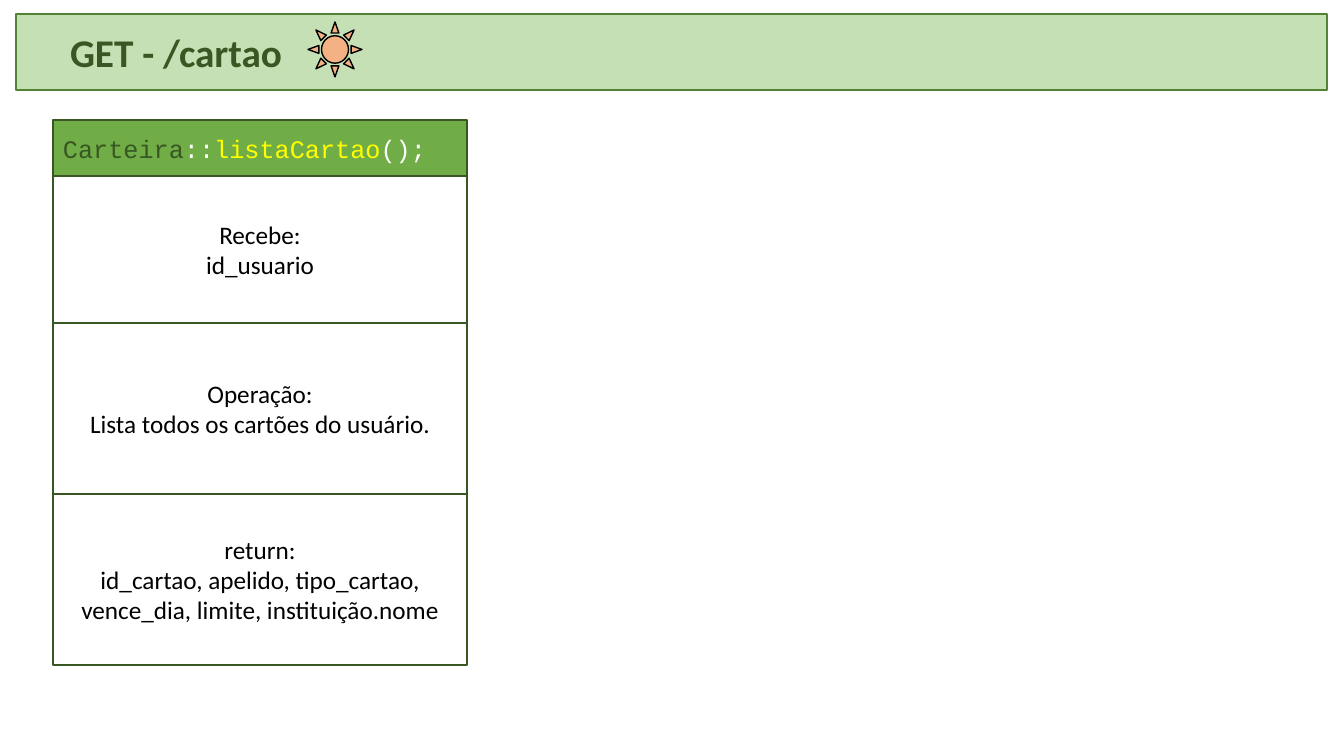
"""Builds the GET - /cartao endpoint slide."""
from dataclasses import dataclass

from pptx import Presentation
from pptx.dml.color import RGBColor
from pptx.enum.shapes import MSO_SHAPE
from pptx.enum.text import MSO_ANCHOR, PP_ALIGN
from pptx.util import Pt

RECT, SUN = MSO_SHAPE.RECTANGLE, MSO_SHAPE.SUN
MIDDLE = MSO_ANCHOR.MIDDLE
LEFT, CENTER = PP_ALIGN.LEFT, PP_ALIGN.CENTER
EMU_PER_PX = 914400 / 100.8


@dataclass(frozen=True)
class Theme:
    pale: str = "C5E0B4"
    green: str = "70AD47"
    mid: str = "548235"
    dark: str = "385723"
    white: str = "FFFFFF"
    black: str = "000000"
    yellow: str = "FFFF00"
    orange: str = "F4B183"
    body_font: str = "Calibri"
    code_font: str = "Courier New"
    title_size: int = 28
    body_size: int = 18


def px(n):
    return round(n * EMU_PER_PX)


class Builder:
    def __init__(self, slide, theme):
        self.slide, self.theme = slide, theme

    def shape(self, kind, box, fill, line, width=1):
        sp = self.slide.shapes.add_shape(kind, *map(px, box))
        sp.shadow.inherit = False
        sp.fill.solid()
        sp.fill.fore_color.rgb = RGBColor.from_string(fill)
        sp.line.color.rgb = RGBColor.from_string(line)
        sp.line.width = Pt(width)
        return sp

    def text(self, sp, paragraphs, align=LEFT, inset=10, **font):
        tf = sp.text_frame
        frame = {"word_wrap": True, "vertical_anchor": MIDDLE, "margin_left": px(inset)}
        for name, value in frame.items():
            setattr(tf, name, value)
        style = {"name": self.theme.body_font, "size": Pt(self.theme.body_size), **font}
        for i, runs in enumerate(paragraphs):
            p = tf.paragraphs[0] if i == 0 else tf.add_paragraph()
            p.alignment = align
            for words, color in runs:
                r = p.add_run()
                r.text = words
                for name, value in style.items():
                    setattr(r.font, name, value)
                r.font.color.rgb = RGBColor.from_string(color)

    def title_bar(self, box, words):
        t = self.theme
        sp = self.shape(RECT, box, t.pale, t.mid)
        self.text(sp, [[(words, t.dark)]], inset=54, size=Pt(t.title_size), bold=True)

    def method_header(self, box, runs):
        t = self.theme
        sp = self.shape(RECT, box, t.green, t.dark, 1.5)
        self.text(sp, [runs], name=t.code_font)

    def section(self, box, lines):
        t = self.theme
        sp = self.shape(RECT, box, t.white, t.dark)
        self.text(sp, [[(line, t.black)] for line in lines], CENTER)


def main():
    theme = Theme()
    prs = Presentation()
    prs.slide_width, prs.slide_height = px(1344), px(756)
    s = Builder(prs.slides.add_slide(prs.slide_layouts[6]), theme)

    s.title_bar((16, 14, 1311, 76), "GET - /cartao")
    left, top, width = 53, 176, 414
    s.method_header((left, 120, width, 57), [
        ("Carteira", theme.dark),
        ("::", theme.white),
        ("listaCartao", theme.yellow),
        ("();", theme.white),
    ])
    sections = [
        (147, "Recebe:", "id_usuario"),
        (171, "Operação:", "Lista todos os cartões do usuário."),
        (171, "return:",
         "id_cartao, apelido, tipo_cartao, vence_dia, limite, instituição.nome"),
    ]
    for height, *lines in sections:
        s.section((left, top, width, height), lines)
        top += height
    s.shape(SUN, (308, 22, 54, 55), theme.orange, theme.black)
    prs.save("out.pptx")


main()
